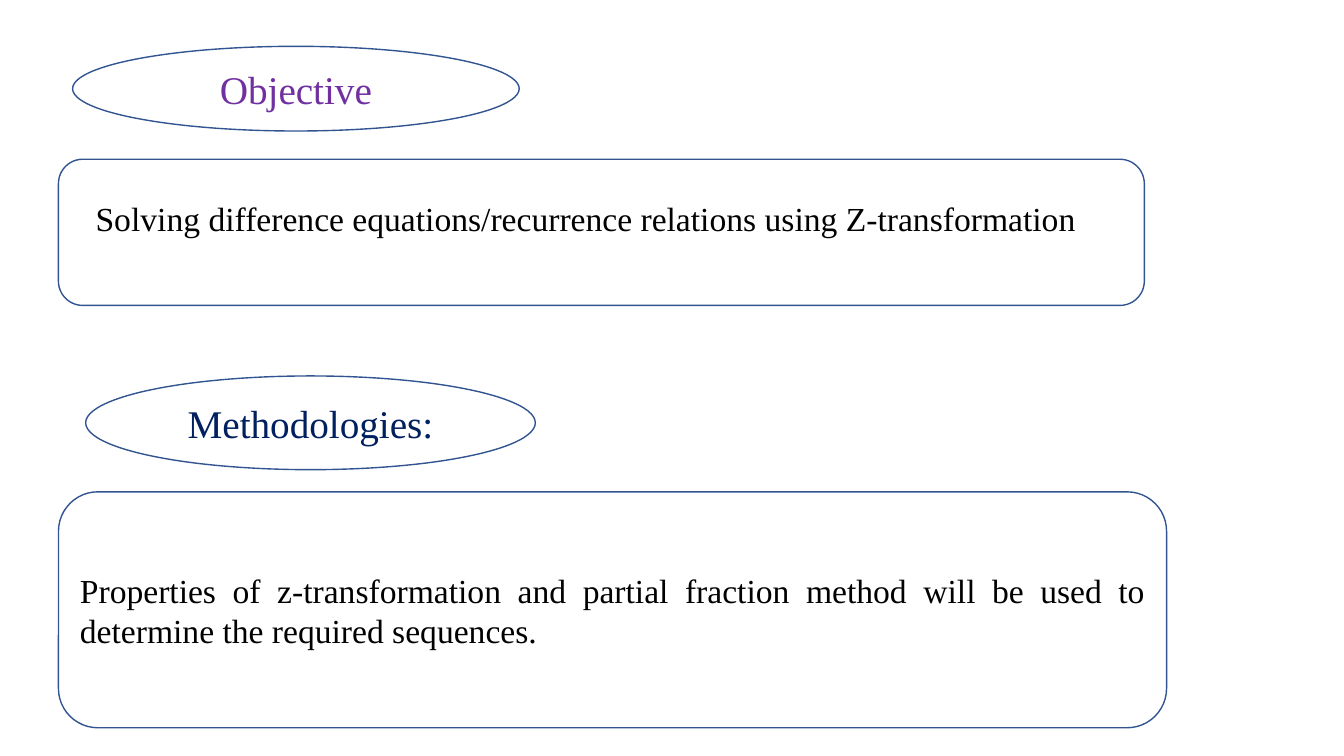
from pptx import Presentation
from pptx.dml.color import RGBColor
from pptx.enum.shapes import MSO_SHAPE
from pptx.enum.text import MSO_ANCHOR, PP_ALIGN
from pptx.util import Inches, Pt

FONT = "Times New Roman"
OUTLINE = RGBColor(0x32, 0x54, 0x91)
PURPLE = RGBColor(0x70, 0x30, 0xA0)
NAVY = RGBColor(0x00, 0x20, 0x60)
BLACK = RGBColor(0x00, 0x00, 0x00)


def write(shape, text, size=24, color=BLACK, align=PP_ALIGN.JUSTIFY, anchor=MSO_ANCHOR.MIDDLE):
    tf = shape.text_frame
    tf.word_wrap = True
    tf.vertical_anchor = anchor
    p = tf.paragraphs[0]
    p.alignment = align
    r = p.add_run()
    r.text = text
    r.font.name = FONT
    r.font.size = Pt(size)
    r.font.color.rgb = color


def add_outline(s, kind, left, top, width, height):
    sp = s.shapes.add_shape(kind, Inches(left), Inches(top), Inches(width), Inches(height))
    sp.shadow.inherit = False
    sp.fill.background()
    sp.line.color.rgb = OUTLINE
    sp.line.width = Pt(1)
    return sp


def add_heading(s, text, color, *box):
    sp = add_outline(s, MSO_SHAPE.OVAL, *box)
    write(sp, text, size=28, color=color, align=PP_ALIGN.CENTER)


def add_panel(s, *box):
    return add_outline(s, MSO_SHAPE.ROUNDED_RECTANGLE, *box)


def main():
    prs = Presentation()
    prs.slide_width, prs.slide_height = Inches(13.33), Inches(7.5)
    s = prs.slides.add_slide(prs.slide_layouts[6])

    add_heading(s, "Objective", PURPLE, 0.72, 0.46, 4.43, 0.84)
    add_panel(s, 0.58, 1.58, 10.77, 1.45)
    objective = s.shapes.add_textbox(Inches(0.85), Inches(1.91), Inches(10.14), Inches(0.5))
    write(objective, "Solving difference equations/recurrence relations using Z-transformation",
          anchor=MSO_ANCHOR.TOP)

    add_heading(s, "Methodologies:", NAVY, 0.85, 3.73, 4.46, 0.93)
    methods = add_panel(s, 0.58, 4.88, 10.99, 2.34)
    write(methods, "Properties of z-transformation and partial fraction method "
                   "will be used to determine the required sequences.")

    prs.save("out.pptx")


if __name__ == "__main__":
    main()
